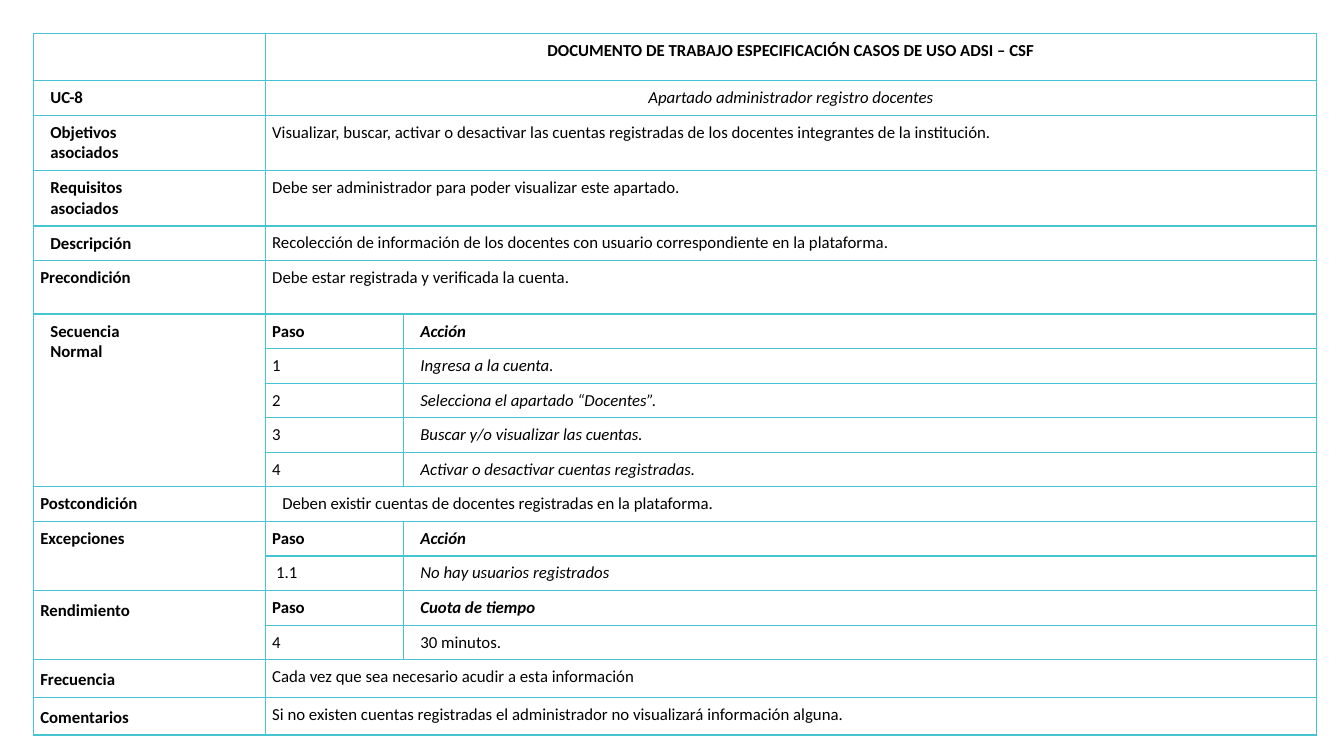
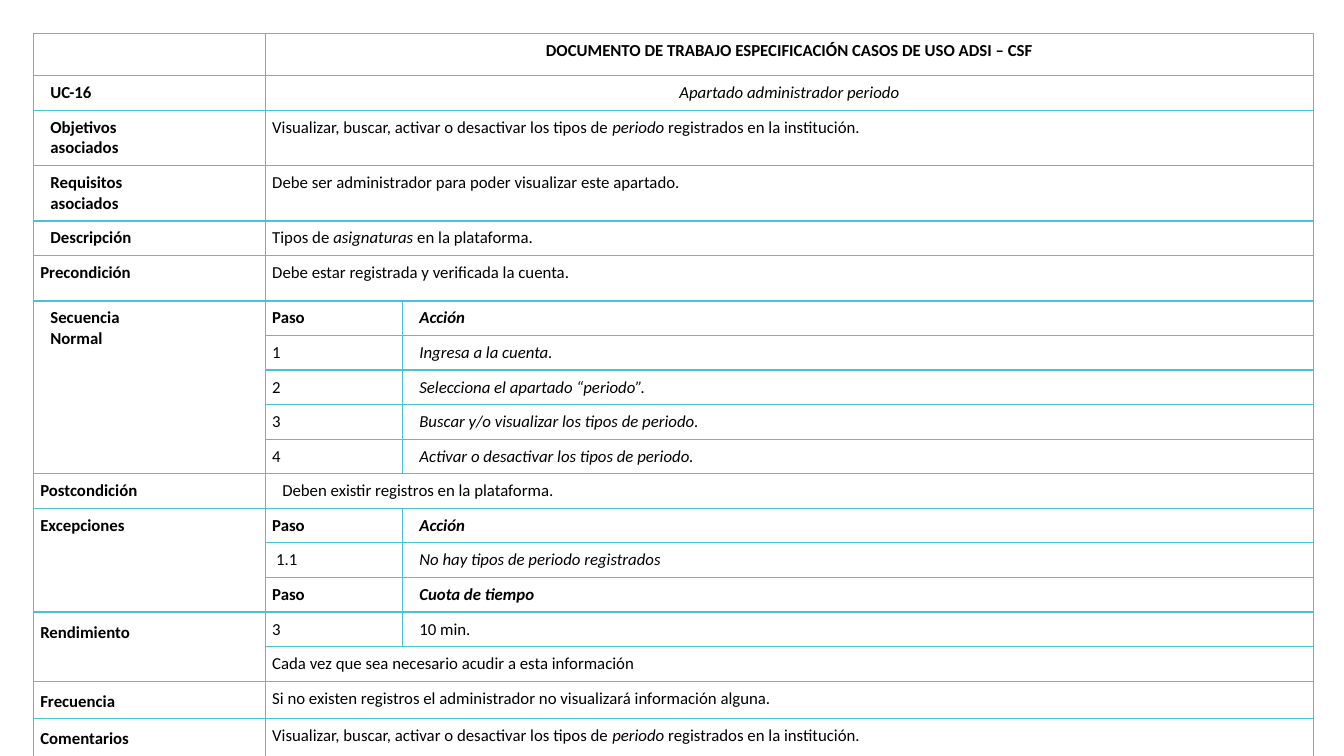
"""Builds two use-case specification slides, each holding one table."""
from dataclasses import dataclass

from lxml import etree
from pptx import Presentation
from pptx.dml.color import RGBColor
from pptx.enum import text
from pptx.oxml import ns
from pptx.util import Inches, Pt


@dataclass(frozen=True)
class Theme:
    font: str = "Calibri"
    size: int = 12
    ink: str = "000000"
    line: str = "47C4D1"
    line_width: int = 1
    inset: float = 0.07
    indent: float = 0.1
    row: float = 0.34
    double_row: float = 0.55
    loose_row: float = 0.37
    tight: float = 0.95
    loose: float = 1.15


T = Theme()
HEADING = "DOCUMENTO DE TRABAJO ESPECIFICACIÓN CASOS DE USO ADSI – CSF"
STEP = ("Paso", "*Acción*")
TIME = ("Paso", "*Cuota de tiempo*")
GOALS = "Objetivos\nasociados"
NEEDS = "Requisitos\nasociados"
SEQUENCE = "Secuencia\nNormal"
ADMIN = "Debe ser administrador para poder visualizar este apartado."
VERIFIED = "Debe estar registrada y verificada la cuenta."
OFTEN = "Cada vez que sea necesario acudir a esta información"
PERIODS = ("Visualizar, buscar, activar o desactivar los tipos de "
           "*periodo *registrados en la institución.")

INDENTED = (GOALS, NEEDS, "Descripción", SEQUENCE)
LOOSE_LABELS = ("Rendimiento", "Frecuencia", "Comentarios")
TIGHT_BODIES = ("Descripción", "Precondición", "Postcondición")
HEIGHTS = {GOALS: T.double_row, NEEDS: T.double_row,
           "Frecuencia": T.loose_row, "Comentarios": T.loose_row}

SLIDES = [
    dict(cols=(2.3, 1.37, 9.06), heights={"": 0.47, "Precondición": 0.53}, rows=[
        ("", HEADING),
        ("UC-8", "*Apartado administrador registro docentes*"),
        (GOALS, "Visualizar, buscar, activar o desactivar las cuentas registradas "
                "de los docentes integrantes de la institución."),
        (NEEDS, ADMIN),
        ("Descripción", "Recolección de información de los docentes con usuario "
                        "correspondiente en la plataforma."),
        ("Precondición", VERIFIED),
        (SEQUENCE, *STEP),
        (None, "1", "*Ingresa a la cuenta.*"),
        (None, "2", "*Selecciona el apartado “Docentes”.*"),
        (None, "3", "*Buscar y/o visualizar las cuentas.*"),
        (None, "4", "*Activar o desactivar cuentas registradas.*"),
        ("Postcondición", "Deben existir cuentas de docentes registradas en la plataforma."),
        ("Excepciones", *STEP),
        (None, "1.1", "*No hay usuarios registrados*"),
        ("Rendimiento", *TIME),
        (None, "4", "30 minutos."),
        ("Frecuencia", OFTEN),
        ("Comentarios", "Si no existen cuentas registradas el administrador "
                        "no visualizará información alguna."),
    ]),
    dict(cols=(2.3, 1.36, 9.04), heights={"": 0.42, "Precondición": 0.45}, rows=[
        ("", HEADING),
        ("UC-16", "*Apartado administrador periodo*"),
        (GOALS, PERIODS),
        (NEEDS, ADMIN),
        ("Descripción", "Tipos de *asignaturas *en la plataforma."),
        ("Precondición", VERIFIED),
        (SEQUENCE, *STEP),
        (None, "1", "*Ingresa a la cuenta.*"),
        (None, "2", "*Selecciona el apartado “periodo”.*"),
        (None, "3", "*Buscar y/o visualizar los tipos de periodo.*"),
        (None, "4", "*Activar o desactivar los tipos de periodo.*"),
        ("Postcondición", "Deben existir registros en la plataforma."),
        ("Excepciones", *STEP),
        (None, "1.1", "*No hay tipos de periodo registrados*"),
        (None, *TIME),
        ("Rendimiento", "3", "10 min."),
        (None, OFTEN),
        ("Frecuencia", "Si no existen registros el administrador "
                       "no visualizará información alguna."),
        ("Comentarios", PERIODS),
    ]),
]


def write(cell, content, bold=False, indent=0, spacing=None, center=False):
    tf = cell.text_frame
    for i, line in enumerate(content.split("\n")):
        p = tf.add_paragraph() if i else tf.paragraphs[0]
        p.alignment = text.PP_ALIGN.CENTER if center else text.PP_ALIGN.LEFT
        p._p.get_or_add_pPr().set("marL", str(Inches(indent)))
        if spacing:
            p.line_spacing = spacing
        for j, part in enumerate(line.split("*")):
            if part:
                r = p.add_run()
                r.text = part
                r.font.name, r.font.size = T.font, Pt(T.size)
                r.font.bold, r.font.italic = bold, j % 2 == 1
                r.font.color.rgb = RGBColor.from_string(T.ink)


def frame(cell):
    cell.margin_left = cell.margin_right = Inches(T.inset)
    cell.margin_top = cell.margin_bottom = Inches(T.inset)
    cell.fill.background()
    tcPr = cell._tc.get_or_add_tcPr()
    for i, side in enumerate(("lnL", "lnR", "lnT", "lnB")):
        ln = etree.Element(ns.qn(f"a:{side}"), w=str(Pt(T.line_width)))
        fill = etree.SubElement(ln, ns.qn("a:solidFill"))
        etree.SubElement(fill, ns.qn("a:srgbClr"), val=T.line)
        tcPr.insert(i, ln)
    if not cell.text_frame.text:
        p = cell.text_frame.paragraphs[0]
        etree.SubElement(p._p, ns.qn("a:endParaRPr"), sz=str(T.size * 100))


prs = Presentation()
prs.slide_width, prs.slide_height = Inches(13.33), Inches(7.5)

for case in SLIDES:
    s = prs.slides.add_slide(prs.slide_layouts[6])
    rows, cols = case["rows"], case["cols"]
    heights = [{**HEIGHTS, **case["heights"]}.get(row[0], T.row) for row in rows]
    table = s.shapes.add_table(len(rows), len(cols), Inches(0.33), Inches(0.33),
                               Inches(sum(cols)), Inches(sum(heights))).table
    table.first_row = table.horz_banding = False
    for column, width in zip(table.columns, cols):
        column.width = Inches(width)

    for n, (label, *body) in enumerate(rows):
        table.rows[n].height = Inches(heights[n])
        if label:
            write(table.cell(n, 0), label, bold=True,
                  indent=T.indent if label in INDENTED or n == 1 else 0,
                  spacing=T.loose if label in LOOSE_LABELS else None)
        if len(body) == 1:
            write(table.cell(n, 1), body[0], bold=n == 0, center=n < 2,
                  indent=T.indent if label == "Postcondición" else 0,
                  spacing=T.tight if label in TIGHT_BODIES else None)
        else:
            head = body[0] == "Paso"
            write(table.cell(n, 1), body[0], bold=head,
                  indent=0.04 if body[0] == "1.1" else 0)
            write(table.cell(n, 2), body[1], bold=head, indent=T.indent)

    for cell in table.iter_cells():
        frame(cell)

    starts = [n for n, row in enumerate(rows) if row[0] is not None]
    for start, stop in zip(starts, starts[1:] + [len(rows)]):
        if stop - start > 1:
            table.cell(start, 0).merge(table.cell(stop - 1, 0))
    for n, row in enumerate(rows):
        if len(row) == 2:
            table.cell(n, 1).merge(table.cell(n, 2))

prs.save("out.pptx")
